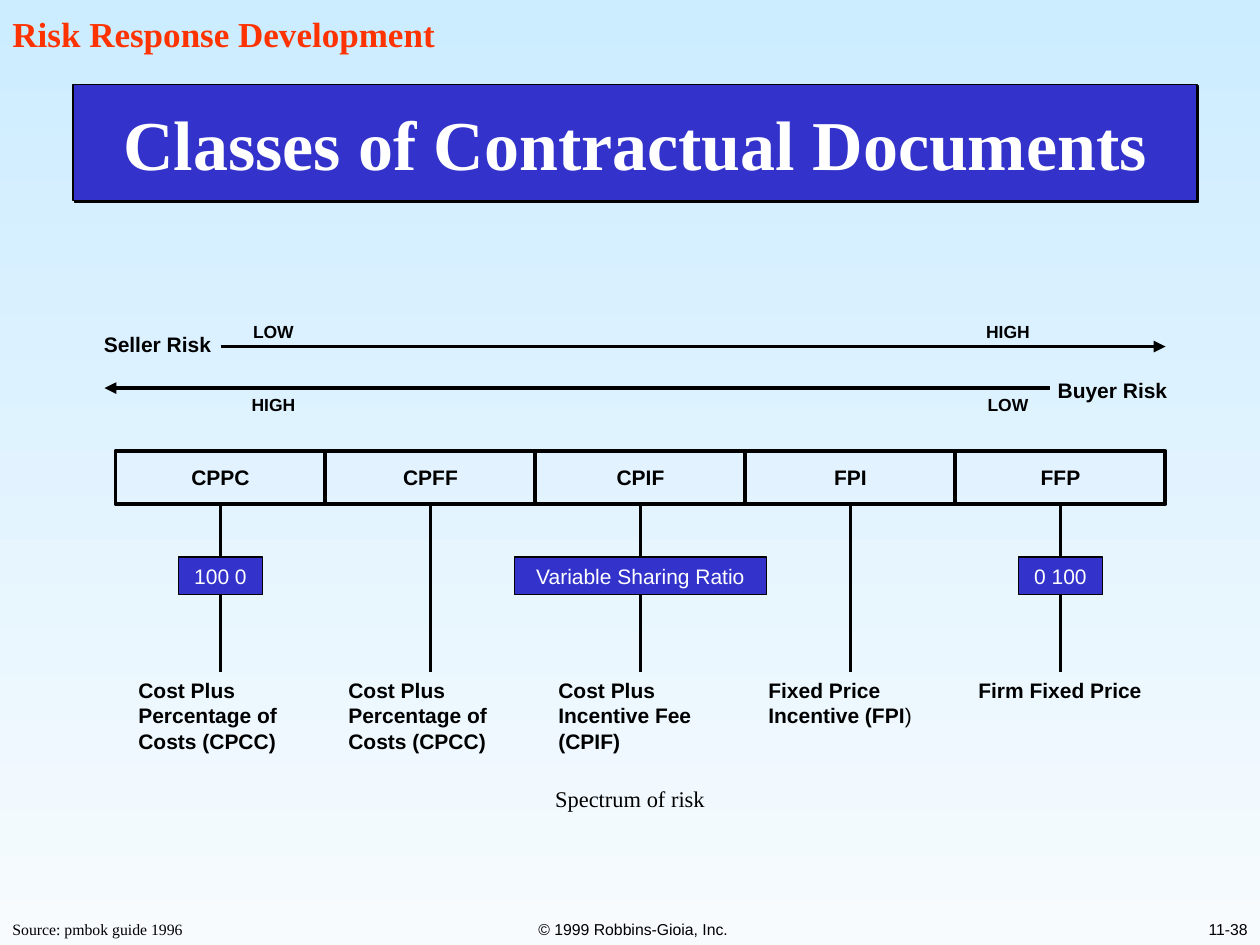
from dataclasses import dataclass

import pptx
import pptx.dml.color
import pptx.enum.shapes
import pptx.enum.text
import pptx.oxml
import pptx.oxml.ns
import pptx.util
from pptx.util import Inches

COLORS = {
    "sky": "CCECFF",
    "pale": "F7FBFE",
    "blue": "3333CC",
    "black": "000000",
    "white": "FFFFFF",
    "red": "FF3300",
}
SANS = "Arial"
SERIF = "Times New Roman"
ALIGN = pptx.enum.text.PP_ALIGN
ANCHOR = pptx.enum.text.MSO_ANCHOR
RECTANGLE = pptx.enum.shapes.MSO_SHAPE.RECTANGLE
STRAIGHT = pptx.enum.shapes.MSO_CONNECTOR.STRAIGHT

FIRST_CENTER = 1.75
COLUMN_WIDTH = 5 / 3
CELL_TOP = 3.58
CELL_HEIGHT = 0.42
DESCRIPTION_TOP = 5.33
DESCRIPTION_WIDTH = 1.5


@dataclass
class Style:
    size: float = 12
    font: str = SANS
    color: str = "black"
    bold: bool = False
    align: ALIGN = ALIGN.CENTER
    anchor: ANCHOR = ANCHOR.TOP
    wrap: bool = True


@dataclass
class Contract:
    code: str
    description: str
    lines: int
    light_ending: str = ""
    ratio: str = ""
    ratio_width: float = 0.67


@dataclass
class RiskArrow:
    name: str
    name_left: float
    name_top: float
    start: float
    end: float
    y: float
    left_level: str
    right_level: str
    level_top: float


CONTRACTS = [
    Contract("CPPC", "Cost Plus Percentage of Costs (CPCC)", 3, ratio="100 0"),
    Contract("CPFF", "Cost Plus Percentage of Costs (CPCC)", 3),
    Contract("CPIF", "Cost Plus Incentive Fee (CPIF)", 3,
             ratio="Variable Sharing Ratio", ratio_width=2),
    Contract("FPI", "Fixed Price Incentive (FPI", 2, light_ending=")"),
    Contract("FFP", "Firm Fixed Price", 1, ratio="0 100"),
]
RISK_ARROWS = [
    RiskArrow("Seller Risk", 0.5, 2.58, 1.75, 9.25, 2.75, "LOW", "HIGH", 2.5),
    RiskArrow("Buyer Risk", 8.08, 2.95, 8.33, 0.83, 3.08, "HIGH", "LOW", 3.08),
]

LABEL = Style(bold=True)
LEVEL = Style(size=10, bold=True)
CELL = Style(bold=True, anchor=ANCHOR.MIDDLE, wrap=False)
DESCRIPTION = Style(bold=True, align=ALIGN.LEFT)
RATIO = Style(color="white", anchor=ANCHOR.MIDDLE)
TITLE = Style(size=40, font=SERIF, color="white", bold=True, anchor=ANCHOR.MIDDLE)
HEADING = Style(size=20, font=SERIF, color="red", bold=True, align=ALIGN.LEFT, wrap=False)
CAPTION = Style(size=12.8, font=SERIF)
SOURCE = Style(size=9, font=SERIF, align=ALIGN.LEFT, wrap=False)
COPYRIGHT = Style(size=9, anchor=ANCHOR.BOTTOM)
PAGE_NUMBER = Style(size=9, align=ALIGN.RIGHT, anchor=ANCHOR.BOTTOM)


def rgb(name: str) -> pptx.dml.color.RGBColor:
    return pptx.dml.color.RGBColor.from_string(COLORS[name])


def add_run(paragraph, text: str, style: Style, bold: bool) -> None:
    run = paragraph.add_run()
    run.text = text
    run.font.size = pptx.util.Pt(style.size)
    run.font.name = style.font
    run.font.bold = bold
    run.font.color.rgb = rgb(style.color)


def write(shape, text: str, style: Style, light_ending: str = "") -> None:
    frame = shape.text_frame
    frame.word_wrap = style.wrap
    frame.auto_size = pptx.enum.text.MSO_AUTO_SIZE.NONE
    frame.vertical_anchor = style.anchor
    frame.margin_left = frame.margin_right = Inches(0.1)
    frame.margin_top = frame.margin_bottom = Inches(0.05)
    paragraph = frame.paragraphs[0]
    paragraph.alignment = style.align
    add_run(paragraph, text, style, style.bold)
    if light_ending:
        add_run(paragraph, light_ending, style, False)


def add_text(slide, left: float, top: float, width: float, height: float,
             text: str, style: Style, light_ending: str = ""):
    box = slide.shapes.add_textbox(Inches(left), Inches(top), Inches(width), Inches(height))
    write(box, text, style, light_ending)
    return box


def add_box(slide, center: float, top: float, width: float, height: float,
            text: str, style: Style, line_width: float, fill: str = ""):
    box = slide.shapes.add_shape(RECTANGLE, Inches(center - width / 2), Inches(top),
                                 Inches(width), Inches(height))
    box.shadow.inherit = False
    paint(box, line_width, fill)
    write(box, text, style)
    return box


def paint(shape, line_width: float, fill: str) -> None:
    if fill:
        shape.fill.solid()
        shape.fill.fore_color.rgb = rgb(fill)
    else:
        shape.fill.background()
    shape.line.color.rgb = rgb("black")
    shape.line.width = pptx.util.Pt(line_width)


def add_line(slide, x1: float, y1: float, x2: float, y2: float, width: float):
    line = slide.shapes.add_connector(STRAIGHT, Inches(x1), Inches(y1), Inches(x2), Inches(y2))
    line.line.color.rgb = rgb("black")
    line.line.width = pptx.util.Pt(width)
    line._element.spPr.append(pptx.oxml.parse_xml(
        f'<a:effectLst {pptx.oxml.ns.nsdecls("a")}/>'))
    return line


def add_risk_arrow(slide, arrow: RiskArrow) -> None:
    add_text(slide, arrow.name_left, arrow.name_top, 1.5, 0.3, arrow.name, LABEL)
    line = add_line(slide, arrow.start, arrow.y, arrow.end, arrow.y, 2.25)
    line.line._get_or_add_ln().append(pptx.oxml.parse_xml(
        f'<a:tailEnd {pptx.oxml.ns.nsdecls("a")} type="triangle"/>'))
    for left, level in ((1.67, arrow.left_level), (7.5, arrow.right_level)):
        add_text(slide, left, arrow.level_top, 1, 0.27, level, LEVEL)


def add_contract(slide, contract: Contract, center: float) -> None:
    cell = add_box(slide, center, CELL_TOP, COLUMN_WIDTH, CELL_HEIGHT,
                   contract.code, CELL, 2.25)
    description = add_text(slide, center - DESCRIPTION_WIDTH / 2, DESCRIPTION_TOP,
                           DESCRIPTION_WIDTH, 0.1 + 0.2 * contract.lines,
                           contract.description, DESCRIPTION, contract.light_ending)
    stem = add_line(slide, center, CELL_TOP + CELL_HEIGHT, center, DESCRIPTION_TOP, 1.5)
    stem.begin_connect(cell, 2)
    stem.end_connect(description, 0)
    if contract.ratio:
        add_box(slide, center, 4.42, contract.ratio_width, 0.3,
                contract.ratio, RATIO, 0.75, "blue")


def format_title(title) -> None:
    title.left, title.top = Inches(0.58), Inches(0.67)
    title.width, title.height = Inches(8.92), Inches(0.92)
    paint(title, 0.75, "blue")
    title._element.spPr.append(pptx.oxml.parse_xml(
        f'<a:effectLst {pptx.oxml.ns.nsdecls("a")}>'
        '<a:outerShdw dist="17780" dir="2700000" algn="ctr" rotWithShape="0">'
        f'<a:srgbClr val="{COLORS["black"]}"/></a:outerShdw></a:effectLst>'))
    write(title, "Classes of Contractual Documents", TITLE)


def main() -> None:
    presentation = pptx.Presentation()
    presentation.slide_width, presentation.slide_height = Inches(10), Inches(7.5)
    slide = presentation.slides.add_slide(presentation.slide_layouts[5])

    background = slide.background.fill
    background.gradient()
    background.gradient_angle = 270
    for stop, color in zip(background.gradient_stops, ("sky", "pale")):
        stop.color.rgb = rgb(color)

    format_title(slide.shapes.title)
    add_text(slide, 0, 0.05, 3.55, 0.44, "Risk Response Development", HEADING)
    for arrow in RISK_ARROWS:
        add_risk_arrow(slide, arrow)
    for column, contract in enumerate(CONTRACTS):
        add_contract(slide, contract, FIRST_CENTER + column * COLUMN_WIDTH)
    add_text(slide, 0.75, 6.18, 8.5, 0.32, "Spectrum of risk", CAPTION)
    add_text(slide, 0, 7.25, 1.55, 0.25, "Source: pmbok guide 1996", SOURCE)
    add_text(slide, 3.4, 7, 3.25, 0.5, "© 1999 Robbins-Gioia, Inc.", COPYRIGHT)
    add_text(slide, 6.75, 7, 3.25, 0.5, "11-38", PAGE_NUMBER)

    presentation.save("out.pptx")


if __name__ == "__main__":
    main()
